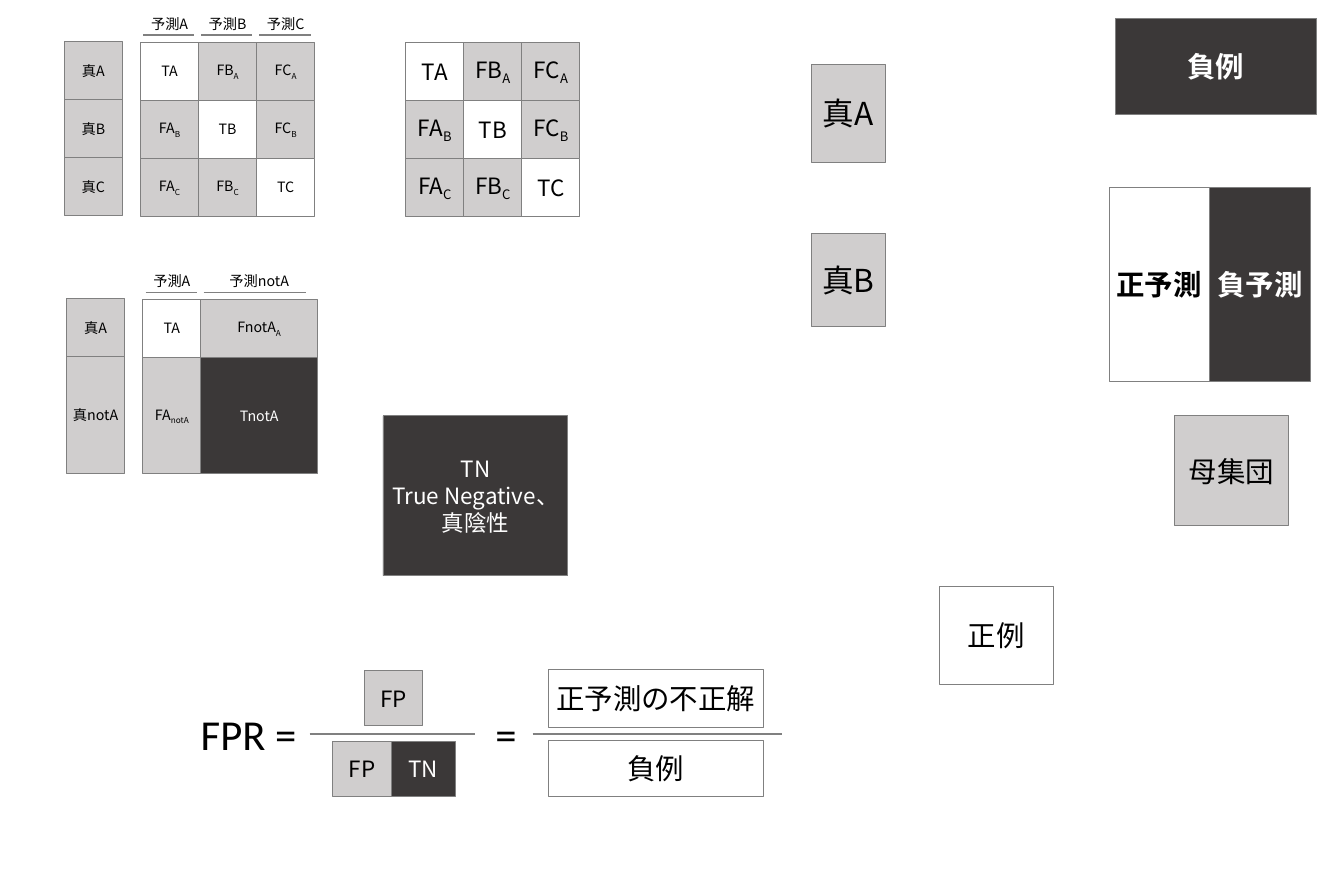
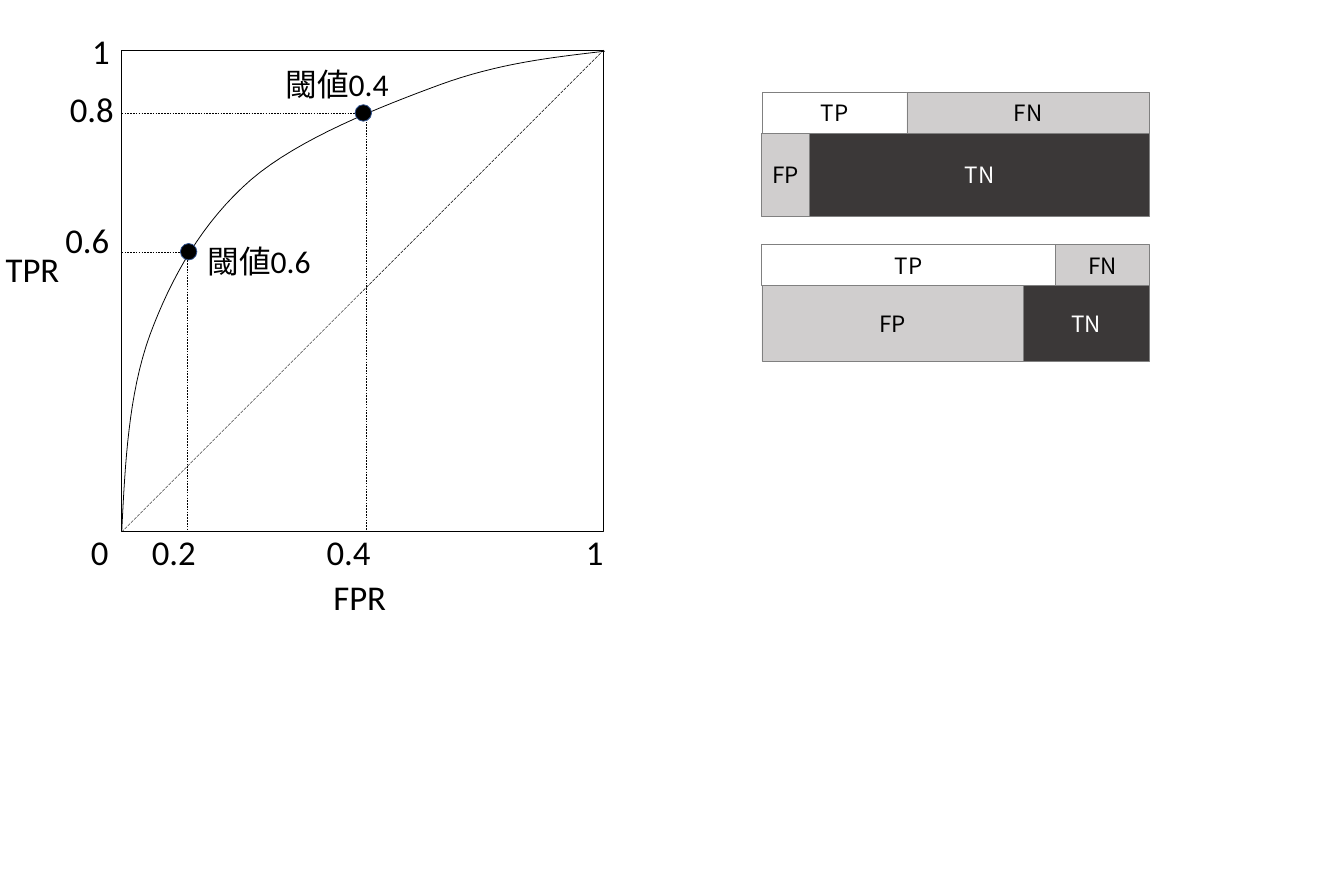
from pptx import Presentation
from pptx.dml.color import RGBColor
from pptx.enum import dml, shapes, text
from pptx.oxml.ns import qn
from pptx.util import Inches, Pt
from lxml import etree

COLORS = {
    "white": "FFFFFF",
    "gray": "D0CECE",
    "dark": "3B3838",
    "border": "808080",
    "black": "000000",
    "dot_edge": "325491",
}
GOTHIC = "Noto Sans CJK JP"
LATIN = "Calibri"
SMALL, MEDIUM, LARGE = 18, 28.4, 36
CENTER = text.PP_ALIGN.CENTER


def rgb(name):
    return RGBColor.from_string(COLORS[name])


def write(frame, paragraphs, size, font=GOTHIC, color="black", bold=False, align=None):
    frame.word_wrap = True
    for index, parts in enumerate(paragraphs):
        paragraph = frame.paragraphs[0] if index == 0 else frame.add_paragraph()
        paragraph.alignment = align
        for part_index, part in enumerate(parts):
            run = paragraph.add_run()
            run.text = part
            run.font.size = Pt(size)
            run.font.bold = bold
            run.font.color.rgb = rgb(color)
            run.font.name = font
            properties = run._r.get_or_add_rPr()
            etree.SubElement(properties, qn("a:ea")).set("typeface", GOTHIC)
            if part_index:
                properties.set("baseline", "-25000")


def outline(shape, fill, line):
    shape.shadow.inherit = False
    if fill:
        shape.fill.solid()
        shape.fill.fore_color.rgb = rgb(fill)
    else:
        shape.fill.background()
    shape.line.color.rgb = rgb(line)
    shape.line.width = Pt(1)


def block(slide, box, label, size=LARGE, fill="white", bold=False):
    rect = slide.shapes.add_shape(shapes.MSO_SHAPE.RECTANGLE, *map(Inches, box))
    outline(rect, fill, "border")
    rect.text_frame.vertical_anchor = text.MSO_ANCHOR.MIDDLE
    paragraphs = label if isinstance(label, list) else [(label,)]
    color = "white" if fill == "dark" else "black"
    write(rect.text_frame, paragraphs, size, color=color, bold=bold, align=CENTER)


def caption(slide, box, label, size, font=LATIN, align=None):
    area = slide.shapes.add_textbox(*map(Inches, box))
    write(area.text_frame, [(label,)], size, font, align=align)


def rule(slide, start, end, color="border", width=2, dash=None):
    line = slide.shapes.add_connector(
        shapes.MSO_CONNECTOR.STRAIGHT, *map(Inches, (*start, *end)))
    line.line.color.rgb = rgb(color)
    line.line.width = Pt(width)
    if dash:
        line.line.dash_style = dash
    etree.SubElement(line._element.spPr, qn("a:effectLst"))


def confusion_matrix(slide, left, top, classes, size, rest=None):
    row_top = top
    for actual, height in classes:
        column_left = left
        for predicted, width in classes:
            correct = actual == predicted
            fill = "gray"
            if correct:
                fill = "dark" if actual == rest else "white"
            label = ("T" + actual,) if correct else ("F" + predicted, actual)
            block(slide, (column_left, row_top, width, height), [label], size, fill)
            column_left += width
        row_top += height


def matrix_headings(slide, left, top, classes):
    column_left, row_top = left, top
    for name, extent in classes:
        block(slide, (left - 1.34, row_top - 0.01, 1.02, extent), "真" + name, SMALL, "gray")
        caption(slide, (column_left, top - 0.52, extent, 0.4), "予測" + name,
                SMALL, GOTHIC, CENTER)
        rule(slide, (column_left + 0.05, top - 0.12),
             (column_left + 0.05 + 0.88 * extent, top - 0.12))
        column_left += extent
        row_top += extent


def sample_groups(slide):
    block(slide, (16.51, 10.3, 2, 1.73), "正例")
    block(slide, (19.6, 0.32, 3.54, 1.69), "負例", fill="dark", bold=True)
    block(slide, (19.49, 3.29, 1.76, 3.42), "正予測", bold=True)
    block(slide, (21.25, 3.29, 1.78, 3.42), "負予測", fill="dark", bold=True)
    block(slide, (20.64, 7.31, 2, 1.93), "母集団", fill="gray")
    block(slide, (14.26, 1.13, 1.3, 1.72), "真A", 40, "gray")
    block(slide, (14.26, 4.11, 1.3, 1.62), "真B", 40, "gray")
    block(slide, (6.73, 7.31, 3.25, 2.81),
          [("TN",), ("True Negative、真陰性",)], MEDIUM, "dark")


def fpr_formula(slide, left, bar):
    rule(slide, (left + 2.01, bar), (left + 4.92, bar))
    rule(slide, (left + 5.93, bar), (left + 10.32, bar))
    block(slide, (left + 6.21, bar - 1.13, 3.77, 1.02), "正予測の不正解", fill=None)
    block(slide, (left + 6.21, bar + 0.11, 3.77, 0.99), "負例", fill=None)
    caption(slide, (left + 5.18, bar - 0.51, 0.83, 1.01), "=", 54)
    caption(slide, (left, bar - 0.51, 2.27, 1.01), "FPR =", 54)
    block(slide, (left + 2.97, bar - 1.11, 1.03, 0.97), "FP", MEDIUM, "gray")
    block(slide, (left + 2.42, bar + 0.13, 1.03, 0.97), "FP", MEDIUM, "gray")
    block(slide, (left + 3.45, bar + 0.13, 1.12, 0.97), "TN", MEDIUM, "dark")


def bezier(start, first, second, end, steps=16):
    for step in range(1, steps + 1):
        t = step / steps
        weights = ((1 - t) ** 3, 3 * t * (1 - t) ** 2, 3 * t * t * (1 - t), t ** 3)
        yield tuple(
            Inches(sum(w * p[axis] for w, p in zip(weights, (start, first, second, end))))
            for axis in (0, 1))


def roc_curve(slide, left, top):
    knots = [(0, 8.45), (0.06, 7.25), (0.12, 6.05), (0.49, 5.02), (0.87, 3.99),
             (1.42, 3.02), (2.27, 2.28), (3.12, 1.55), (4.56, 0.99), (5.59, 0.61),
             (6.63, 0.23), (7.56, 0.13), (8.49, 0.02)]
    knots = [(left + x, top + y) for x, y in knots]
    builder = slide.shapes.build_freeform(*map(Inches, knots[0]))
    for first in range(0, len(knots) - 1, 3):
        builder.add_line_segments(list(bezier(*knots[first:first + 4])), close=False)
    outline(builder.convert_to_shape(), None, "black")


def roc_plot(slide, left, top, side):
    frame = slide.shapes.add_shape(
        shapes.MSO_SHAPE.RECTANGLE, *map(Inches, (left, top, side, side)))
    outline(frame, None, "black")
    bottom = top + side
    rule(slide, (left + side, top), (left, bottom), "black", 0.5, dml.MSO_LINE.LONG_DASH)
    roc_curve(slide, left, top)

    for x, y, drop in ((1.17, 3.55, 1.15), (4.24, 1.11, 4.29)):
        for start, end in (((left + drop, top + y), (left + drop, bottom)),
                           ((left, top + y), (left + x, top + y))):
            rule(slide, start, end, "black", 0.5, dml.MSO_LINE.DASH)
        dot = slide.shapes.add_shape(
            shapes.MSO_SHAPE.OVAL,
            *map(Inches, (left + x - 0.14, top + y - 0.15, 0.29, 0.29)))
        outline(dot, "black", "dot_edge")

    tick_top = side - 0.07
    for label, x, y in (
            ("0", -0.64, tick_top), ("0.2", 0.43, tick_top), ("0.4", 3.5, tick_top),
            ("1", 8.06, tick_top), ("FPR", 3.62, side + 0.73),
            ("1", -0.62, -0.41), ("0.8", -1.01, 0.62), ("0.6", -1.09, 2.92),
            ("TPR", -2.14, 3.42)):
        caption(slide, (left + x, top + y, 1.78, 0.84), label, 44)
    for label, x, y in (("閾値0.6", 1.41, 3.33), ("閾値0.4", 2.78, 0.21)):
        caption(slide, (left + x, top + y, 2.33, 0.77), label, 40)


def threshold_bars(slide, left, top, width, positives, false_positives, lower_height):
    upper_height = 0.72
    lower = top + upper_height
    for label, x, y, extent, height, fill in (
            ("TP", 0, top, positives, upper_height, "white"),
            ("FN", positives, top, width - positives, upper_height, "gray"),
            ("FP", 0, lower, false_positives, lower_height, "gray"),
            ("TN", false_positives, lower, width - false_positives, lower_height, "dark")):
        block(slide, (left + x, y, extent, height), label, MEDIUM, fill)


def matrices_slide(slide):
    three_classes = [(name, 1.02) for name in "ABC"]
    two_classes = [("A", 1.02), ("notA", 2.05)]
    sample_groups(slide)
    fpr_formula(slide, 3.43, 12.9)
    confusion_matrix(slide, 2.47, 0.74, three_classes, SMALL)
    matrix_headings(slide, 2.47, 0.74, three_classes)
    confusion_matrix(slide, 7.13, 0.74, three_classes, MEDIUM)
    confusion_matrix(slide, 2.51, 5.26, two_classes, SMALL, rest="notA")
    matrix_headings(slide, 2.51, 5.26, two_classes)


def roc_slide(slide):
    roc_plot(slide, 2.14, 0.88, 8.47)
    threshold_bars(slide, 13.39, 1.62, 6.81, 2.55, 0.84, 1.46)
    threshold_bars(slide, 13.39, 4.3, 6.81, 5.16, 4.59, 1.33)


deck = Presentation()
deck.slide_width, deck.slide_height = Inches(23.62), Inches(15.75)
for build in (matrices_slide, roc_slide):
    build(deck.slides.add_slide(deck.slide_layouts[6]))
deck.save("out.pptx")
